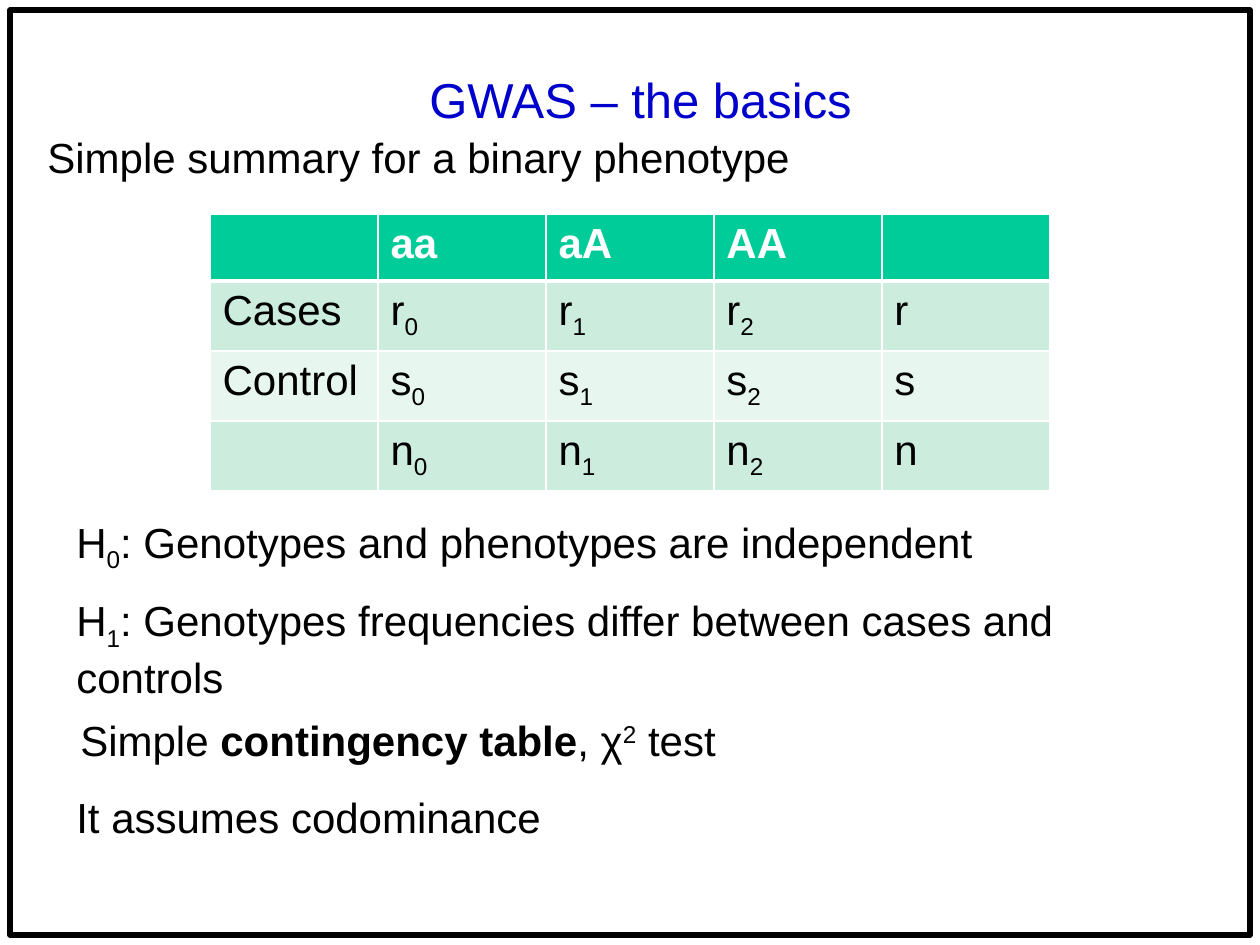
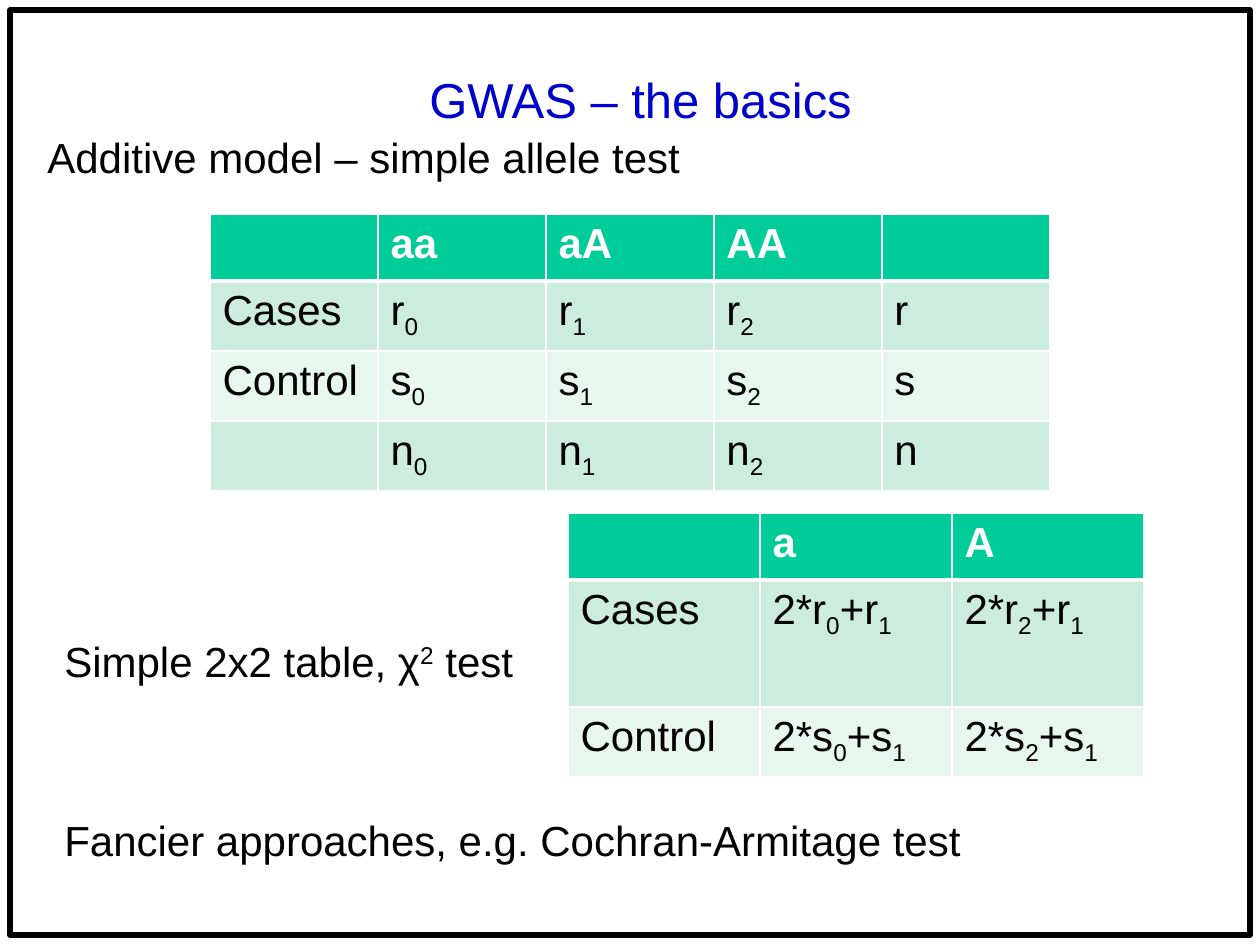
from collections import namedtuple

from lxml.etree import SubElement
from pptx import Presentation
from pptx.dml.color import RGBColor
from pptx.enum.shapes import MSO_SHAPE
from pptx.enum.text import MSO_ANCHOR, MSO_AUTO_SIZE, PP_ALIGN
from pptx.oxml.ns import qn
from pptx.util import Emu, Pt

Box = namedtuple("Box", "left top width height")

PX_PER_INCH = 126
PAGE = Box(0, 0, 1260, 945)
FONT = "Arial"
COLORS = {
    "title": "0000CC",
    "ink": "000000",
    "white": "FFFFFF",
    "header": "00CC99",
    "odd_row": "CCECDE",
    "even_row": "E7F6EF",
}
SCRIPT_BASELINES = {"_": "-25000", "^": "30000"}
ROW_HEIGHT = 67
LINE_HEIGHT = 63

GENOTYPE_ROWS = [
    ["", "aa", "aA", "AA", ""],
    ["Cases", "r_0", "r_1", "r_2", "r"],
    ["Control", "s_0", "s_1", "s_2", "s"],
    ["", "n_0", "n_1", "n_2", "n"],
]
ALLELE_ROWS = [
    ["", "a", "A"],
    ["Cases", "2*r_0+r_1", "2*r_2+r_1"],
    ["Control", "2*s_0+s_1", "2*s_2+s_1"],
]


def px(length):
    """Turn px into EMU."""
    return Emu(round(length * 914400 / PX_PER_INCH))


def rgb(name):
    """Look up a named colour."""
    return RGBColor.from_string(COLORS[name])


def place(shape, box):
    """Move and size a shape to a box."""
    shape.left, shape.top, shape.width, shape.height = map(px, box)


def split_runs(text):
    """Yield text, bold and baseline; | toggles bold, _ and ^ lower or raise one symbol."""
    bold, plain, mark = False, "", None
    for symbol in text:
        if mark:
            yield symbol, bold, SCRIPT_BASELINES[mark]
            mark = None
        elif symbol == "|" or symbol in SCRIPT_BASELINES:
            if plain:
                yield plain, bold, None
            plain = ""
            if symbol == "|":
                bold = not bold
            else:
                mark = symbol
        else:
            plain += symbol
    if plain:
        yield plain, bold, None


def write(frame, text, size=24, color="ink", bold=False, align=PP_ALIGN.LEFT, gap=12):
    """Fill a text frame with one paragraph per line of marked-up text."""
    for index, line in enumerate(text.split("\n")):
        paragraph = frame.add_paragraph() if index else frame.paragraphs[0]
        paragraph.alignment = align
        paragraph.space_before = Pt(gap if index else 0)
        for words, marked_bold, baseline in split_runs(line):
            run = paragraph.add_run()
            run.text = words
            run.font.name = FONT
            run.font.size = Pt(size)
            run.font.bold = bold or marked_bold
            run.font.color.rgb = rgb(color)
            if baseline:
                run._r.get_or_add_rPr().set("baseline", baseline)


def add_text(slide, box, text, **text_format):
    """Add a wrapping text box."""
    shape = slide.shapes.add_textbox(*map(px, box))
    shape.text_frame.word_wrap = True
    write(shape.text_frame, text, **text_format)


def set_borders(cell, **widths):
    """Draw white cell borders of the given widths in points."""
    properties = cell._tc.get_or_add_tcPr()
    for side in "LRTB":
        line = SubElement(properties, qn(f"a:ln{side}"), w=str(Pt(widths.get(side, 1))))
        fill = SubElement(line, qn("a:solidFill"))
        SubElement(fill, qn("a:srgbClr"), val=COLORS["white"])


def add_count_table(slide, box, rows, heights):
    """Add a table with a green header and banded rows, in equal columns."""
    columns = len(rows[0])
    table = slide.shapes.add_table(len(rows), columns, *map(px, box)).table
    for column in table.columns:
        column.width = px(box.width / columns)
    for row_index, (values, height) in enumerate(zip(rows, heights)):
        table.rows[row_index].height = px(height)
        is_header = row_index == 0
        band = "header" if is_header else "odd_row" if row_index % 2 else "even_row"
        for column_index, value in enumerate(values):
            cell = table.cell(row_index, column_index)
            set_borders(cell, B=3 if is_header else 1, T=3 if row_index == 1 else 1)
            cell.fill.solid()
            cell.fill.fore_color.rgb = rgb(band)
            write(cell.text_frame, value, bold=is_header,
                  color="white" if is_header else "ink")


def add_page(presentation, box, subtitle):
    """Add a slide with the shared title, frame, subtitle and genotype table."""
    slide = presentation.slides.add_slide(presentation.slide_layouts[5])
    title = slide.shapes.title
    place(title, Box(box.left + 147, box.top + 63, 987, 72))
    title.text_frame.auto_size = MSO_AUTO_SIZE.NONE
    title.text_frame.vertical_anchor = MSO_ANCHOR.TOP
    write(title.text_frame, "GWAS – the basics", size=28, color="title",
          align=PP_ALIGN.CENTER)

    border = Box(box.left + 10, box.top + 10, box.width - 20, box.height - 20)
    frame = slide.shapes.add_shape(MSO_SHAPE.RECTANGLE, *map(px, border))
    frame.shadow.inherit = False
    frame.fill.background()
    frame.line.color.rgb = rgb("ink")
    frame.line.width = Pt(3)

    add_text(slide, Box(box.left + 35, box.top + 125, 1200, LINE_HEIGHT), subtitle)
    heights = [ROW_HEIGHT] * len(GENOTYPE_ROWS)
    add_count_table(slide, Box(box.left + 210, box.top + 214, 840, sum(heights)),
                    GENOTYPE_ROWS, heights)
    return slide


def build_phenotype_slide(presentation, box):
    """Show the genotype counts with the hypotheses and the test."""
    slide = add_page(presentation, box, "Simple summary for a binary phenotype")
    hypotheses = ("H_0: Genotypes and phenotypes are independent\n"
                  "H_1: Genotypes frequencies differ between cases and controls")
    for left, top, height, text in [
        (64, 510, 190, hypotheses),
        (68, 708, LINE_HEIGHT, "Simple |contingency table|, χ^2 test"),
        (64, 785, LINE_HEIGHT, "It assumes codominance"),
    ]:
        add_text(slide, Box(box.left + left, box.top + top, 1032, height), text)


def build_allele_slide(presentation, box):
    """Show the genotype counts collapsed to allele counts."""
    slide = add_page(presentation, box, "Additive model – simple allele test")
    heights = [ROW_HEIGHT, 127, ROW_HEIGHT]
    add_count_table(slide, Box(box.left + 568, box.top + 513, 576, sum(heights)),
                    ALLELE_ROWS, heights)
    for top, text in [
        (629, "Simple 2x2 table, χ^2 test"),
        (808, "Fancier approaches, e.g. Cochran-Armitage test"),
    ]:
        add_text(slide, Box(box.left + 52, box.top + top, 1032, LINE_HEIGHT), text)


def main():
    """Build and save the presentation."""
    presentation = Presentation()
    presentation.slide_width = px(PAGE.width)
    presentation.slide_height = px(PAGE.height)
    build_phenotype_slide(presentation, PAGE)
    build_allele_slide(presentation, PAGE)
    presentation.save("out.pptx")


if __name__ == "__main__":
    main()
